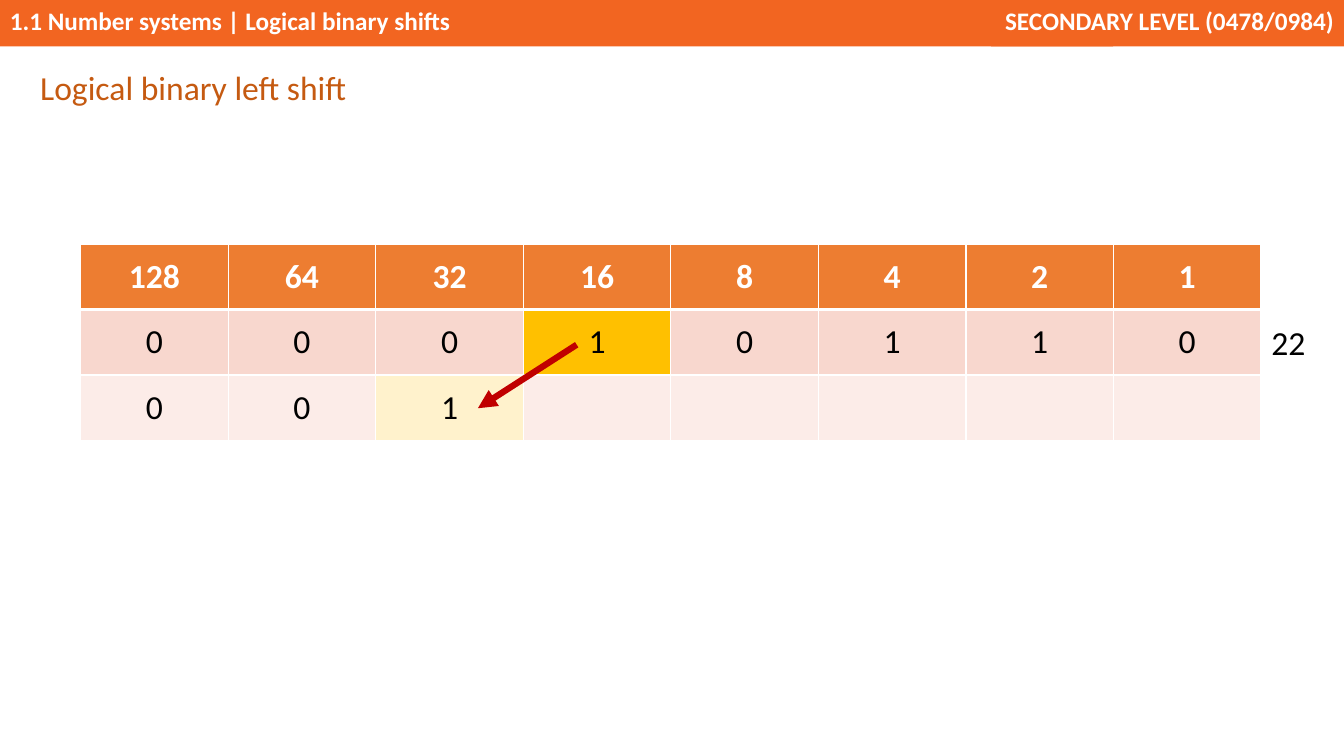
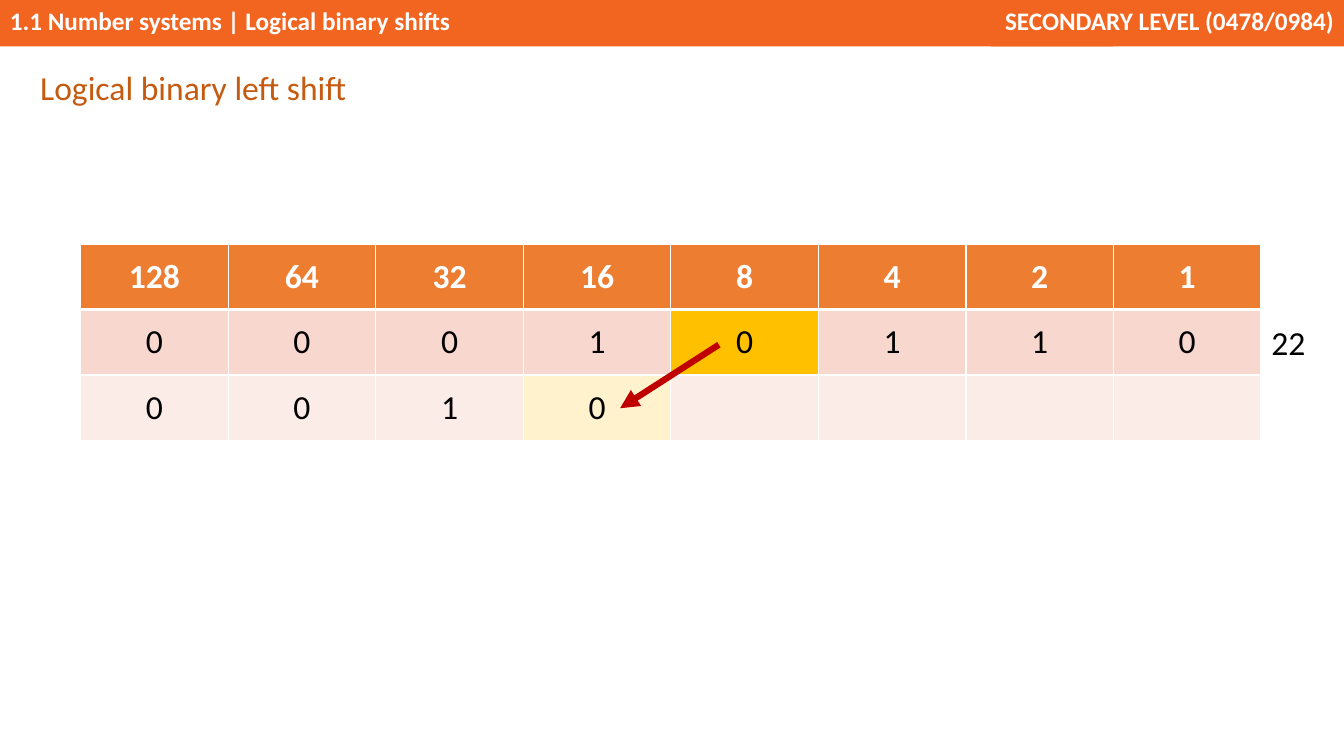
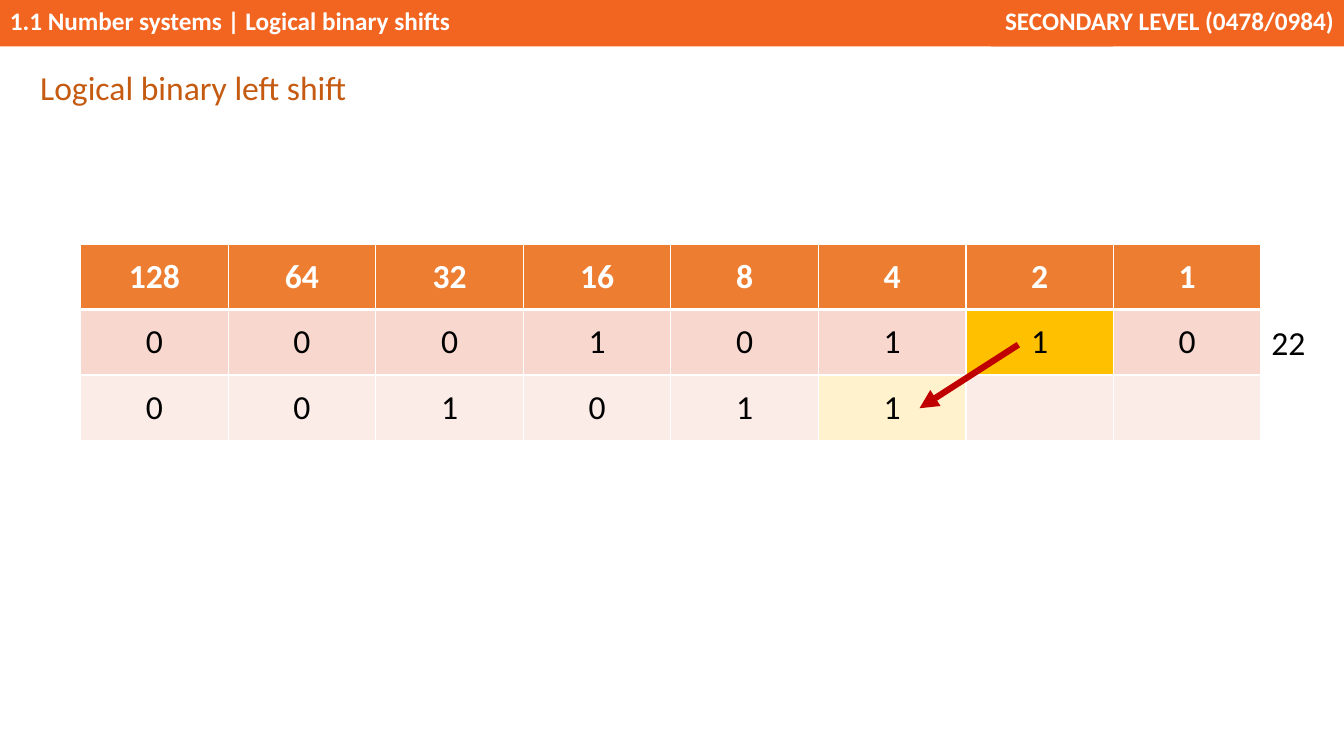
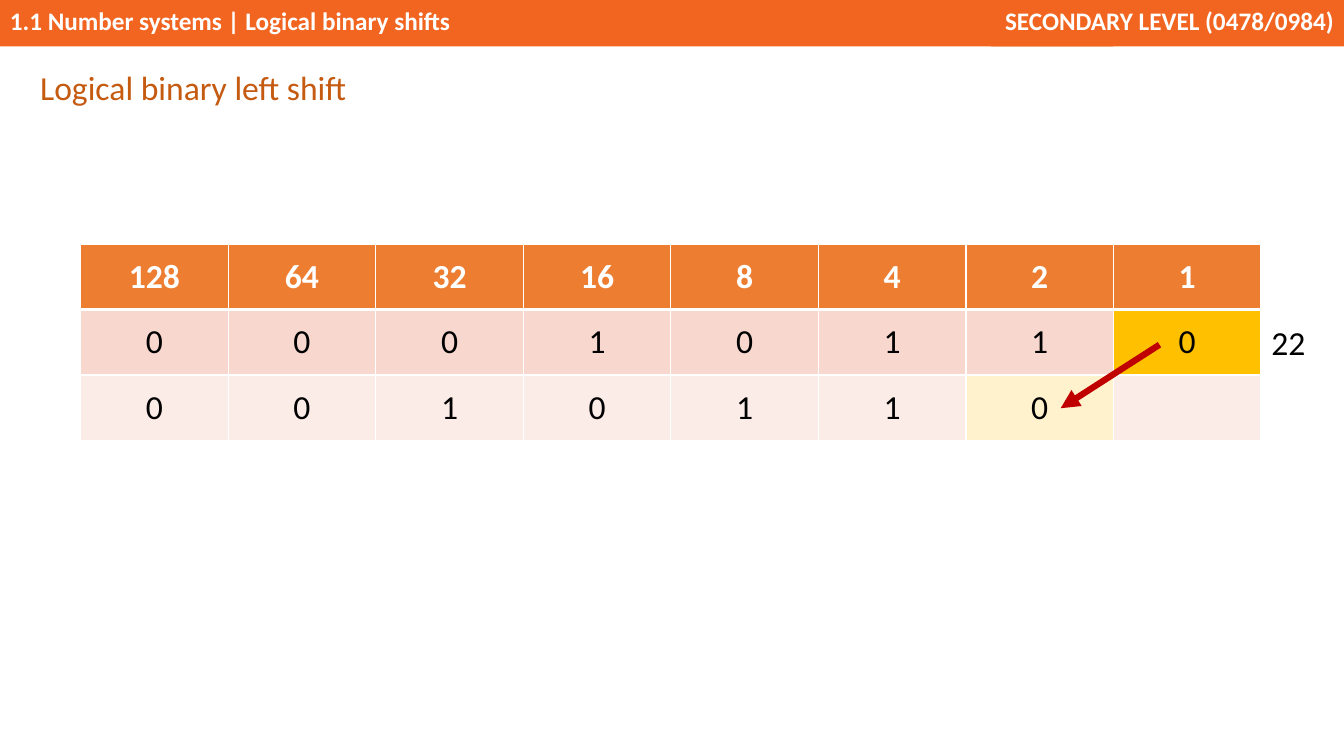
from lxml.etree import SubElement
from pptx import Presentation
from pptx.dml.color import RGBColor
from pptx.enum.shapes import MSO_CONNECTOR, MSO_SHAPE
from pptx.enum.text import MSO_ANCHOR, MSO_AUTO_SIZE, PP_ALIGN
from pptx.oxml.ns import qn
from pptx.util import Inches, Pt

BAND_TEXTS = [  # text, left, width, alignment
    ("1.1 Number systems | Logical binary shifts", 0, 11.04, PP_ALIGN.LEFT),
    ("SECONDARY LEVEL (0478/0984)", 9.83, 3.5, PP_ALIGN.RIGHT),
]
TITLE = "Logical binary left shift"
BITS = "00010110"
PLACE_VALUES = [2 ** power for power in reversed(range(len(BITS)))]
STEPS = [(3, 5.72), (4, 7.13), (6, 10.1), (7, 11.5)]  # shifted column, arrow start

WHITE = RGBColor(0xFF, 0xFF, 0xFF)
BLACK = RGBColor(0x00, 0x00, 0x00)
BAND_ORANGE = RGBColor(0xF2, 0x65, 0x21)
TITLE_BROWN = RGBColor(0xC5, 0x5A, 0x11)
HEADER_ORANGE = RGBColor(0xED, 0x7D, 0x31)
SOURCE_PINK = RGBColor(0xF8, 0xD7, 0xCE)
RESULT_PINK = RGBColor(0xFC, 0xEC, 0xE8)
SOURCE_GOLD = RGBColor(0xFF, 0xC0, 0x00)
RESULT_CREAM = RGBColor(0xFF, 0xF2, 0xCC)
ARROW_RED = RGBColor(0xC0, 0x00, 0x00)

SLIDE_WIDTH, SLIDE_HEIGHT = 13.33, 7.5
BAND_HEIGHT = 0.46
TABLE_LEFT, TABLE_TOP, TABLE_WIDTH, ROW_HEIGHT = 0.8, 2.42, 11.71, 0.65
ARROW_TOP, ARROW_RUN, ARROW_DROP = 3.42, 0.98, 0.63

BAND_FONT = {"size": Pt(18), "bold": True, "color": WHITE}
TITLE_FONT = {"size": Pt(24), "color": TITLE_BROWN}
HEADER_FONT = {"size": Pt(24), "bold": True, "color": WHITE}
BIT_FONT = {"size": Pt(24), "bold": False, "color": BLACK}


def write(text_frame, text, font_format, alignment=PP_ALIGN.LEFT):
    paragraph = text_frame.paragraphs[0]
    paragraph.alignment = alignment
    run = paragraph.add_run()
    run.text = text
    run.font.name = "Calibri"
    for name, value in font_format.items():
        if name == "color":
            run.font.color.rgb = value
        else:
            setattr(run.font, name, value)
    return paragraph


def add_bands_to_master(presentation, slide):
    """Draw the bands on a slide, then move them to the master all slides share."""
    for text, left, width, alignment in BAND_TEXTS:
        band = slide.shapes.add_shape(
            MSO_SHAPE.RECTANGLE, Inches(left), 0, Inches(width), Inches(BAND_HEIGHT))
        band.shadow.inherit = False
        band.fill.solid()
        band.fill.fore_color.rgb = BAND_ORANGE
        band.line.fill.background()
        band.text_frame.vertical_anchor = MSO_ANCHOR.TOP
        write(band.text_frame, text, BAND_FONT, alignment)
        presentation.slide_master.shapes.element.append(band.element)


def add_text(slide, text, box, font_format, wrap, alignment=PP_ALIGN.LEFT):
    text_frame = slide.shapes.add_textbox(*map(Inches, box)).text_frame
    text_frame.word_wrap = wrap
    text_frame.auto_size = MSO_AUTO_SIZE.SHAPE_TO_FIT_TEXT
    return write(text_frame, text, font_format, alignment)


def set_borders(cell, widths):
    properties = cell._tc.get_or_add_tcPr()
    for side, width in zip("LRTB", widths):
        line = SubElement(properties, qn(f"a:ln{side}"), w=str(Pt(width)))
        SubElement(SubElement(line, qn("a:solidFill")), qn("a:srgbClr"), val=str(WHITE))


def add_shift_table(slide, shifted):
    rows = [  # values, font, fill, border widths, highlighted column, highlight
        (PLACE_VALUES, HEADER_FONT, HEADER_ORANGE, (1, 1, 1, 3), None, None),
        (BITS, BIT_FONT, SOURCE_PINK, (1, 1, 3, 1), shifted, SOURCE_GOLD),
        (BITS[1:shifted + 1].ljust(len(BITS)), BIT_FONT, RESULT_PINK, (1, 1, 1, 1),
         shifted - 1, RESULT_CREAM),
    ]
    table = slide.shapes.add_table(
        len(rows), len(BITS), Inches(TABLE_LEFT), Inches(TABLE_TOP),
        Inches(TABLE_WIDTH), Inches(ROW_HEIGHT * len(rows))).table
    table.horz_banding = False
    for row, (values, font, fill, borders, marked, highlight) in enumerate(rows):
        for column, value in enumerate(values):
            cell = table.cell(row, column)
            cell.vertical_anchor = MSO_ANCHOR.MIDDLE
            set_borders(cell, borders)
            cell.fill.solid()
            cell.fill.fore_color.rgb = highlight if column == marked else fill
            if value != " ":
                write(cell.text_frame, str(value), font, PP_ALIGN.CENTER)


def add_shift_arrow(slide, start):
    arrow = slide.shapes.add_connector(
        MSO_CONNECTOR.STRAIGHT, Inches(start), Inches(ARROW_TOP),
        Inches(start - ARROW_RUN), Inches(ARROW_TOP + ARROW_DROP))
    arrow.line.color.rgb = ARROW_RED
    arrow.line.width = Pt(4.5)
    SubElement(arrow.line._get_or_add_ln(), qn("a:tailEnd"), type="triangle")
    SubElement(arrow.element.spPr, qn("a:effectLst"))


def main():
    presentation = Presentation()
    presentation.slide_width = Inches(SLIDE_WIDTH)
    presentation.slide_height = Inches(SLIDE_HEIGHT)
    blank = presentation.slide_layouts[6]
    for shifted, arrow_start in STEPS:
        slide = presentation.slides.add_slide(blank)
        add_shift_table(slide, shifted)
        add_shift_arrow(slide, arrow_start)
        add_text(slide, str(int(BITS, 2)), (TABLE_LEFT + TABLE_WIDTH, 3.14, 0.54, 0.5),
                 BIT_FONT, False, PP_ALIGN.CENTER)
        title = add_text(slide, TITLE, (0.3, 0.59, 7.42, 0.51), TITLE_FONT, True)
        title.line_spacing = 1.07
        title.space_after = Pt(8)
    add_bands_to_master(presentation, presentation.slides[0])
    presentation.save("out.pptx")


if __name__ == "__main__":
    main()
